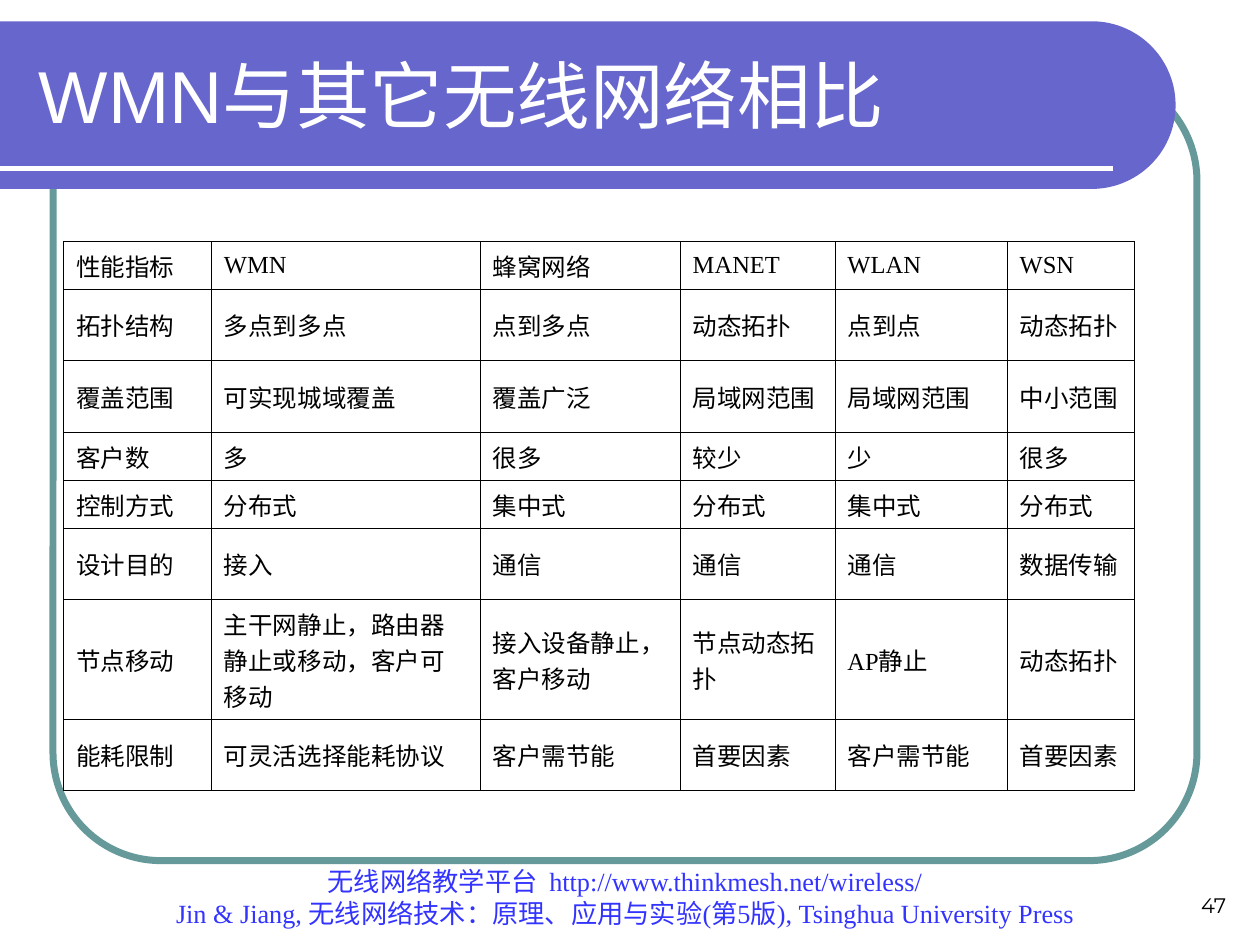
from math import cos, pi, sin

from lxml.etree import SubElement
from pptx import Presentation
from pptx.dml.color import RGBColor
from pptx.enum.shapes import MSO_CONNECTOR, MSO_SHAPE
from pptx.enum.text import MSO_ANCHOR, PP_ALIGN
from pptx.oxml.ns import qn
from pptx.util import Cm, Pt

COLORS = {
    "band": "6666CC",
    "frame": "669999",
    "footer": "3333FF",
    "white": "FFFFFF",
    "black": "000000",
}
SERIF = "Times New Roman"
CELL_SIZE = 14
CELL_MARGIN = 0.25
HANGING = 0.97
COL_WIDTHS = [2.98, 5.42, 4.03, 3.12, 3.47, 2.57]
ROW_HEIGHTS = [0.97, 1.43, 1.45, 0.97, 0.97, 1.43, 2.42, 1.43]
COMPARISON = [
    ["性能指标", "WMN", "蜂窝网络", "MANET", "WLAN", "WSN"],
    ["拓扑结构", "多点到多点", "点到多点", "动态拓扑", "点到点", "动态拓扑"],
    ["覆盖范围", "可实现城域覆盖", "覆盖广泛", "局域网范围", "局域网范围", "中小范围"],
    ["客户数", "多", "很多", "较少", "少", "很多"],
    ["控制方式", "分布式", "集中式", "分布式", "集中式", "分布式"],
    ["设计目的", "接入", "通信", "通信", "通信", "数据传输"],
    ["节点移动", "主干网静止，路由器静止或移动，客户可移动", "接入设备静止，客户移动",
     "节点动态拓扑", "AP静止", "动态拓扑"],
    ["能耗限制", "可灵活选择能耗协议", "客户需节能", "首要因素", "客户需节能", "首要因素"],
]
FOOTER = [
    "无线网络教学平台  http://www.thinkmesh.net/wireless/",
    "Jin & Jiang, 无线网络技术：原理、应用与实验(第5版), Tsinghua University Press",
]


def rgb(name):
    """Return the palette colour with the given name."""
    return RGBColor.from_string(COLORS[name])


def write(tf, lines, size, font=SERIF, color="black", align=PP_ALIGN.LEFT,
          anchor=MSO_ANCHOR.MIDDLE, hanging=0):
    """Fill a text frame with one formatted paragraph per line."""
    tf.word_wrap = True
    tf.vertical_anchor = anchor
    for i, line in enumerate(lines):
        p = tf.paragraphs[0] if i == 0 else tf.add_paragraph()
        p.alignment = align
        if hanging:
            pPr = p._p.get_or_add_pPr()
            pPr.set("marL", str(Cm(hanging)))
            pPr.set("indent", str(-Cm(hanging)))
        r = p.add_run()
        r.text = line
        r.font.size = Pt(size)
        r.font.name = font
        r.font.color.rgb = rgb(color)


def add_frame(s, x, y, w, h):
    """Draw the rounded outline behind the content."""
    sp = s.shapes.add_shape(MSO_SHAPE.ROUNDED_RECTANGLE, Cm(x), Cm(y), Cm(w), Cm(h))
    sp.adjustments[0] = 0.137
    sp.shadow.inherit = False
    sp.fill.background()
    sp.line.color.rgb = rgb("frame")
    sp.line.width = Pt(4)


def add_header(s, x, y, w, h, title):
    """Draw the round-ended band with its rule and place the title on it."""
    radius, steps = h / 2, 60
    angles = [pi * i / steps - pi / 2 for i in range(steps + 1)]
    arc = [(Cm(x + w - radius + radius * cos(a)), Cm(y + radius + radius * sin(a)))
           for a in angles]
    builder = s.shapes.build_freeform(Cm(x), Cm(y))
    builder.add_line_segments(arc + [(Cm(x), Cm(y + h))], close=True)
    band = builder.convert_to_shape()
    band.shadow.inherit = False
    band.fill.solid()
    band.fill.fore_color.rgb = rgb("band")
    band.line.fill.background()

    rule_y = Cm(y + 2.96)
    rule = s.shapes.add_connector(MSO_CONNECTOR.STRAIGHT, Cm(x), rule_y,
                                  Cm(x + w - 1.27), rule_y)
    rule.line.color.rgb = rgb("white")
    rule.line.width = Pt(3)
    SubElement(rule._element.spPr, qn("a:effectLst"))

    sp = s.shapes.title
    sp.left, sp.top, sp.width, sp.height = Cm(x + 0.53), Cm(y + 0.2), Cm(22.28), Cm(2.54)
    write(sp.text_frame, [title], 42, font="Arial", color="white")
    band._element.getparent().append(sp._element)


def add_text(s, x, y, w, h, lines, size, **fmt):
    """Add a bottom-anchored text box."""
    sp = s.shapes.add_textbox(Cm(x), Cm(y), Cm(w), Cm(h))
    write(sp.text_frame, lines, size, anchor=MSO_ANCHOR.BOTTOM, **fmt)


def add_borders(cell):
    """Give a cell thin black borders on all sides."""
    tcPr = cell._tc.get_or_add_tcPr()
    for i, side in enumerate(("a:lnL", "a:lnR", "a:lnT", "a:lnB")):
        ln = tcPr.makeelement(qn(side), {"w": str(Pt(0.45))})
        fill = SubElement(ln, qn("a:solidFill"))
        SubElement(fill, qn("a:srgbClr"), val=COLORS["black"])
        tcPr.insert(i, ln)


def add_comparison(s, x, y, w, h):
    """Add the comparison table; only single-line cells have a hanging indent."""
    table = s.shapes.add_table(len(COMPARISON), len(COL_WIDTHS),
                               Cm(x), Cm(y), Cm(w), Cm(h)).table
    table.first_row = table.horz_banding = False
    for col, width in zip(table.columns, COL_WIDTHS):
        col.width = Cm(width)
    for row, height, texts in zip(table.rows, ROW_HEIGHTS, COMPARISON):
        row.height = Cm(height)
        for cell, width, text in zip(row.cells, COL_WIDTHS, texts):
            fits = len(text) * Pt(CELL_SIZE) <= Cm(width - 2 * CELL_MARGIN)
            cell.fill.background()
            cell.vertical_anchor = MSO_ANCHOR.MIDDLE
            write(cell.text_frame, [text], CELL_SIZE, hanging=HANGING if fits else 0)
            add_borders(cell)


def main():
    """Build the slide and save it."""
    prs = Presentation()
    prs.slide_width, prs.slide_height = Cm(25.4), Cm(19.05)
    s = prs.slides.add_slide(prs.slide_layouts[5])
    add_frame(s, 1.07, 1.47, 23.06, 15.88)
    add_header(s, 0, 0.43, 23.7, 3.38, "WMN与其它无线网络相比")
    add_text(s, 1.9, 17.78, 21.4, 1.06, FOOTER, 15, color="footer", align=PP_ALIGN.CENTER)
    add_text(s, 19.05, 17.35, 5.92, 1.27, ["47"], 12, font="Montserrat", align=PP_ALIGN.RIGHT)
    add_comparison(s, 1.28, 4.87, sum(COL_WIDTHS), sum(ROW_HEIGHTS))
    prs.save("out.pptx")


if __name__ == "__main__":
    main()
